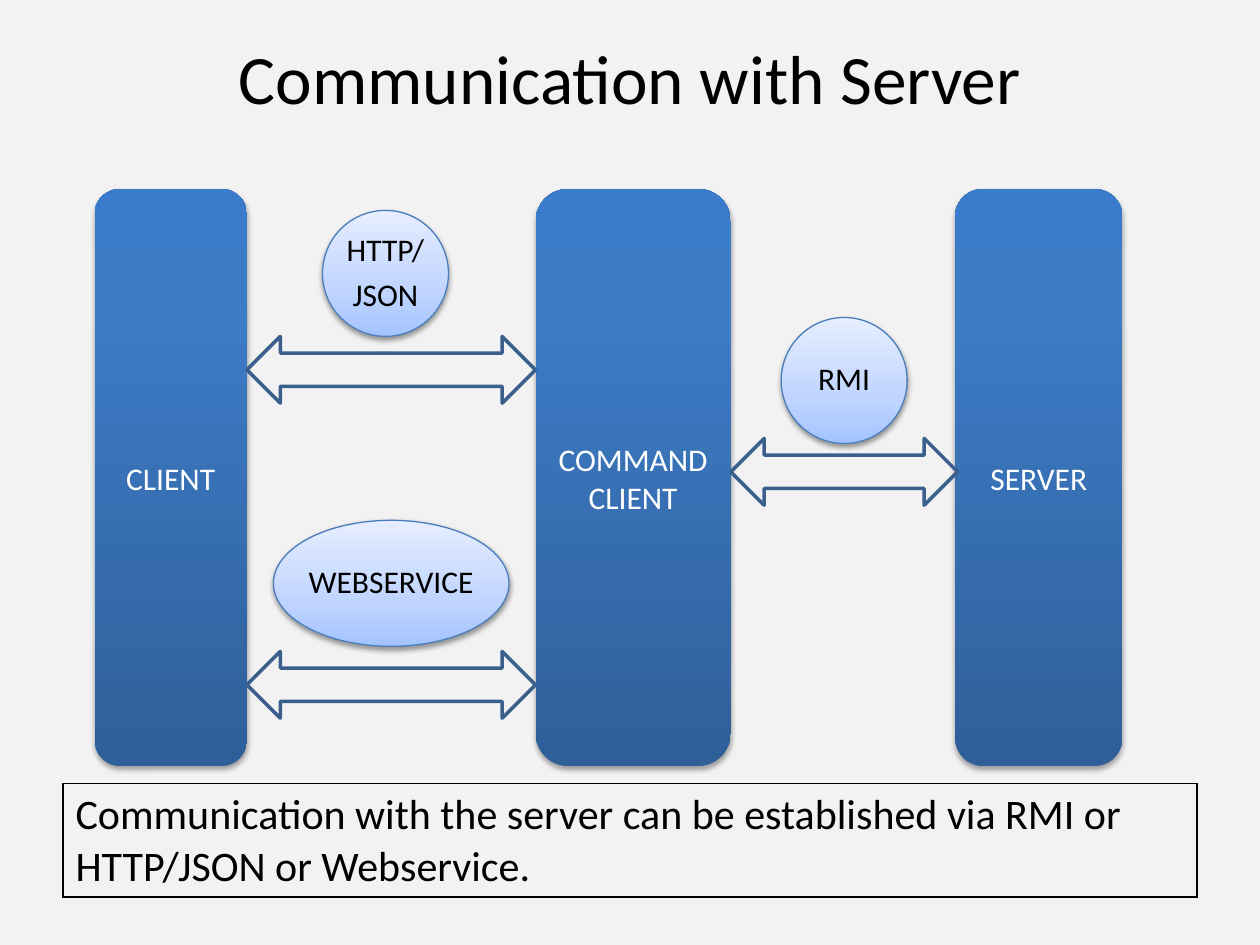
"""Build the slide on communication between client and server."""
from lxml.etree import SubElement
from pptx import Presentation
from pptx.dml.color import RGBColor
from pptx.enum.shapes import MSO_SHAPE as Preset
from pptx.enum.text import MSO_ANCHOR as Anchor, PP_ALIGN as Align
from pptx.oxml.ns import qn
from pptx.util import Inches, Pt

FONT = "Calibri"
COLORS = {
    "background": "F2F2F2", "text": "000000", "pillar_text": "FFFFFF",
    "bubble_line": "4B7EBC", "arrow_line": "3A5F8C", "shadow": "000000",
}
PILLAR_STOPS = [(0, "2F5F99"), (80, "3D7CC7"), (100, "3A7CCB")]
BUBBLE_STOPS = [(0, "A4C4FF"), (35, "BFD4FF"), (100, "E6EEFF")]

TITLE = "Communication with Server"
SUMMARY = ("Communication with the server can be established via RMI or "
           "HTTP/JSON or Webservice.")
PILLARS = [("SERVER", 7.58, 1.33), ("COMMAND CLIENT", 4.25, 1.55), ("CLIENT", 0.75, 1.21)]
PILLAR_TOP, PILLAR_HEIGHT = 1.5, 4.58
BUBBLES = [("RMI", 6.2, 2.52, 1), ("HTTP/\nJSON", 2.56, 1.67, 1),
           ("WEBSERVICE", 2.17, 4.13, 1.87)]
BUBBLE_HEIGHT = 1
ARROWS = [(1.96, 2.67, 2.29), (5.8, 3.48, 1.8), (1.96, 5.17, 2.29)]
ARROW_HEIGHT = 0.53


def color(name):
    return RGBColor.from_string(COLORS[name])


def write(frame, text, size, color_name, align=Align.CENTER):
    frame.text = text
    frame.word_wrap = True
    for para in frame.paragraphs:
        para.alignment = align
        for span in para.runs:
            span.font.name = FONT
            span.font.size = Pt(size)
            span.font.color.rgb = color(color_name)


def add_preset(preset, left, top, width, height, line=None, weight=1):
    shape = page.shapes.add_shape(
        preset, Inches(left), Inches(top), Inches(width), Inches(height))
    shape.shadow.inherit = False
    shape.fill.background()
    if line:
        shape.line.color.rgb = color(line)
        shape.line.width = Pt(weight)
    else:
        shape.line.fill.background()
    return shape


def shade(shape, stops, opacity, distance):
    shape.fill.gradient()
    shape.fill.gradient_angle = 90
    properties = shape.element.spPr
    stop_list = properties.find(qn("a:gradFill")).find(qn("a:gsLst"))
    for stop in list(stop_list):
        stop_list.remove(stop)
    for position, value in stops:
        stop = SubElement(stop_list, qn("a:gs"), pos=str(position * 1000))
        SubElement(stop, qn("a:srgbClr"), val=value)
    shadow = SubElement(
        properties.find(qn("a:effectLst")), qn("a:outerShdw"), blurRad=str(Pt(3.1)),
        dist=str(Pt(distance)), dir="5400000", rotWithShape="0")
    tint = SubElement(shadow, qn("a:srgbClr"), val=COLORS["shadow"])
    SubElement(tint, qn("a:alpha"), val=str(opacity * 1000))


def add_pillar(label, left, width):
    pillar = add_preset(Preset.ROUNDED_RECTANGLE, left, PILLAR_TOP, width, PILLAR_HEIGHT)
    shade(pillar, PILLAR_STOPS, 35, 1.8)
    write(pillar.text_frame, label, 18, "pillar_text")
    pillar.text_frame.vertical_anchor = Anchor.MIDDLE


def add_bubble(label, left, top, width):
    bubble = add_preset(Preset.OVAL, left, top, width, BUBBLE_HEIGHT, "bubble_line", 0.75)
    shade(bubble, BUBBLE_STOPS, 38, 1.6)
    frame = bubble.text_frame
    frame.margin_left = frame.margin_right = frame.margin_top = frame.margin_bottom = 0
    frame.vertical_anchor = Anchor.MIDDLE
    write(frame, label, 18, "text")
    for para in frame.paragraphs:
        para.line_spacing = 0.9
        after = SubElement(para._p.get_or_add_pPr(), qn("a:spcAft"))
        SubElement(after, qn("a:spcPct"), val="35000")


def add_summary():
    table = page.shapes.add_table(
        1, 1, Inches(0.5), Inches(6.22), Inches(9), Inches(0.9)).table
    table.first_row = table.horz_banding = False
    cell = table.cell(0, 0)
    write(cell.text_frame, SUMMARY, 24, "text", Align.LEFT)
    properties = cell._tc.get_or_add_tcPr()
    for side in ("lnL", "lnR", "lnT", "lnB"):
        border = SubElement(properties, qn(f"a:{side}"), w=str(Pt(1)))
        fill = SubElement(border, qn("a:solidFill"))
        SubElement(fill, qn("a:srgbClr"), val=COLORS["text"])
    cell.fill.background()


deck = Presentation()
deck.slide_width, deck.slide_height = Inches(10), Inches(7.5)
page = deck.slides.add_slide(deck.slide_layouts[6])
page.background.fill.solid()
page.background.fill.fore_color.rgb = color("background")

title = page.shapes.add_textbox(Inches(0.5), Inches(0.3), Inches(9), Inches(0.62))
write(title.text_frame, TITLE, 39.6, "text")
title.text_frame.vertical_anchor = Anchor.MIDDLE

add_summary()
for pillar_values in PILLARS:
    add_pillar(*pillar_values)
for bubble_values in BUBBLES:
    add_bubble(*bubble_values)
for arrow_values in ARROWS:
    add_preset(Preset.LEFT_RIGHT_ARROW, *arrow_values, ARROW_HEIGHT, "arrow_line", 2)

deck.save("out.pptx")
